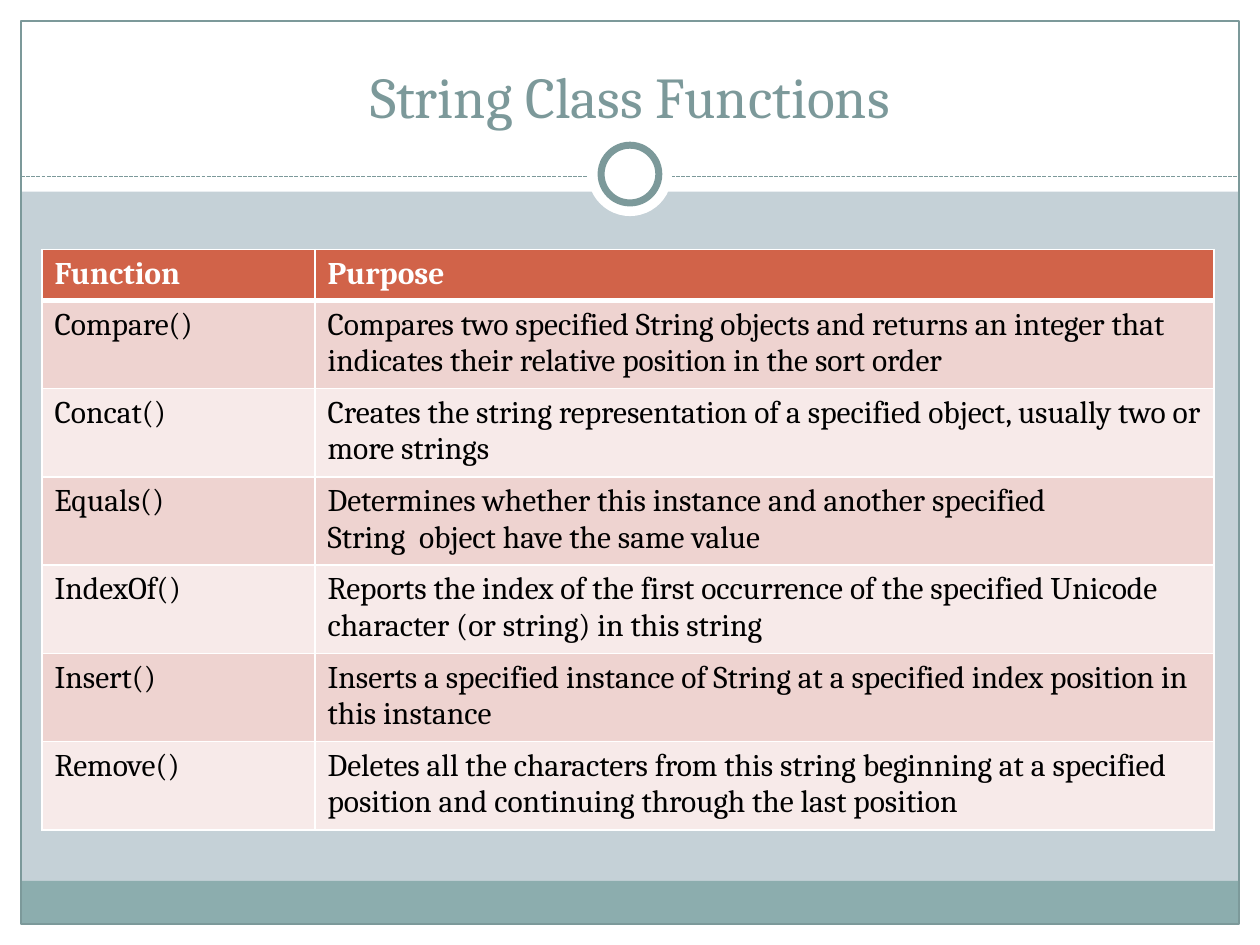
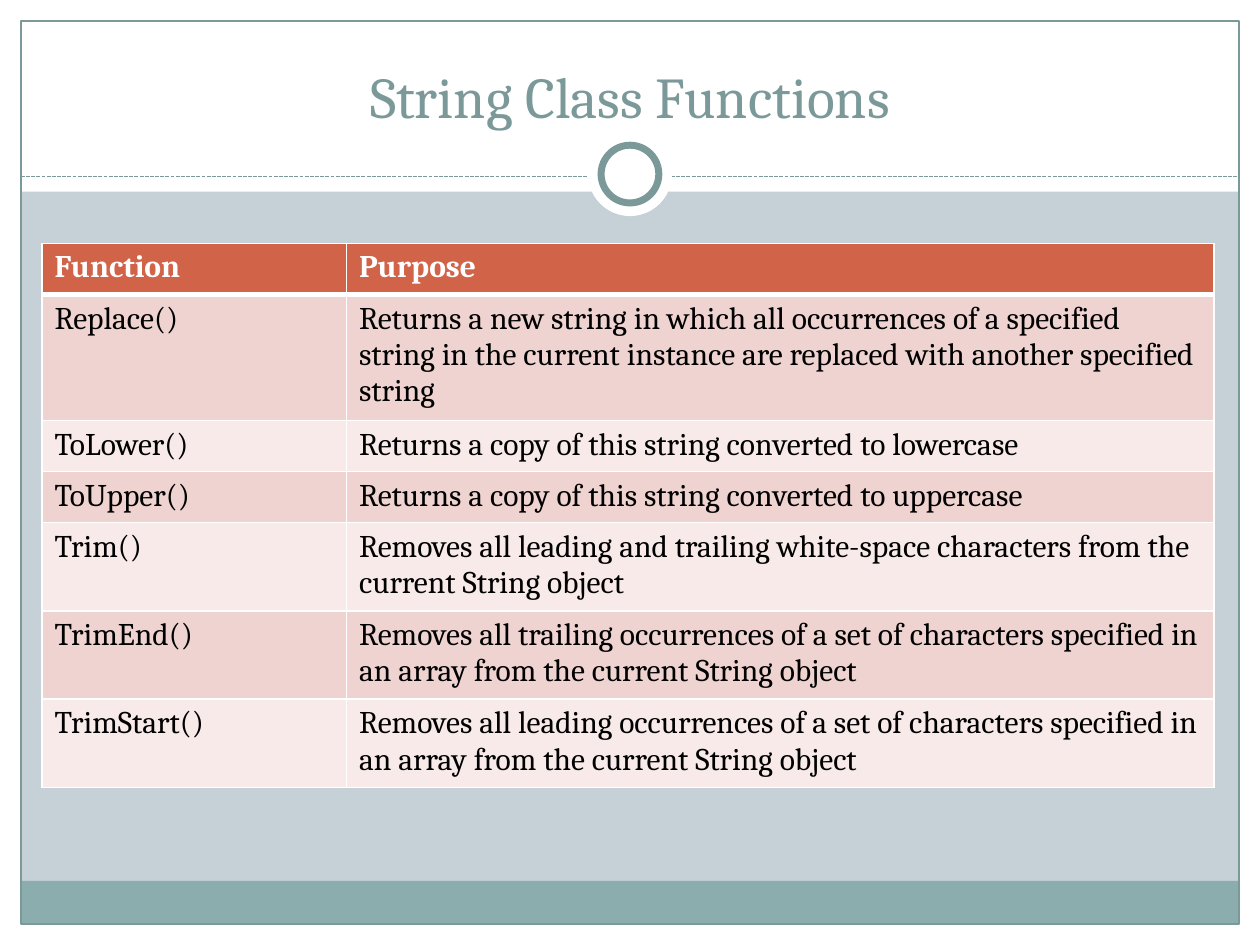
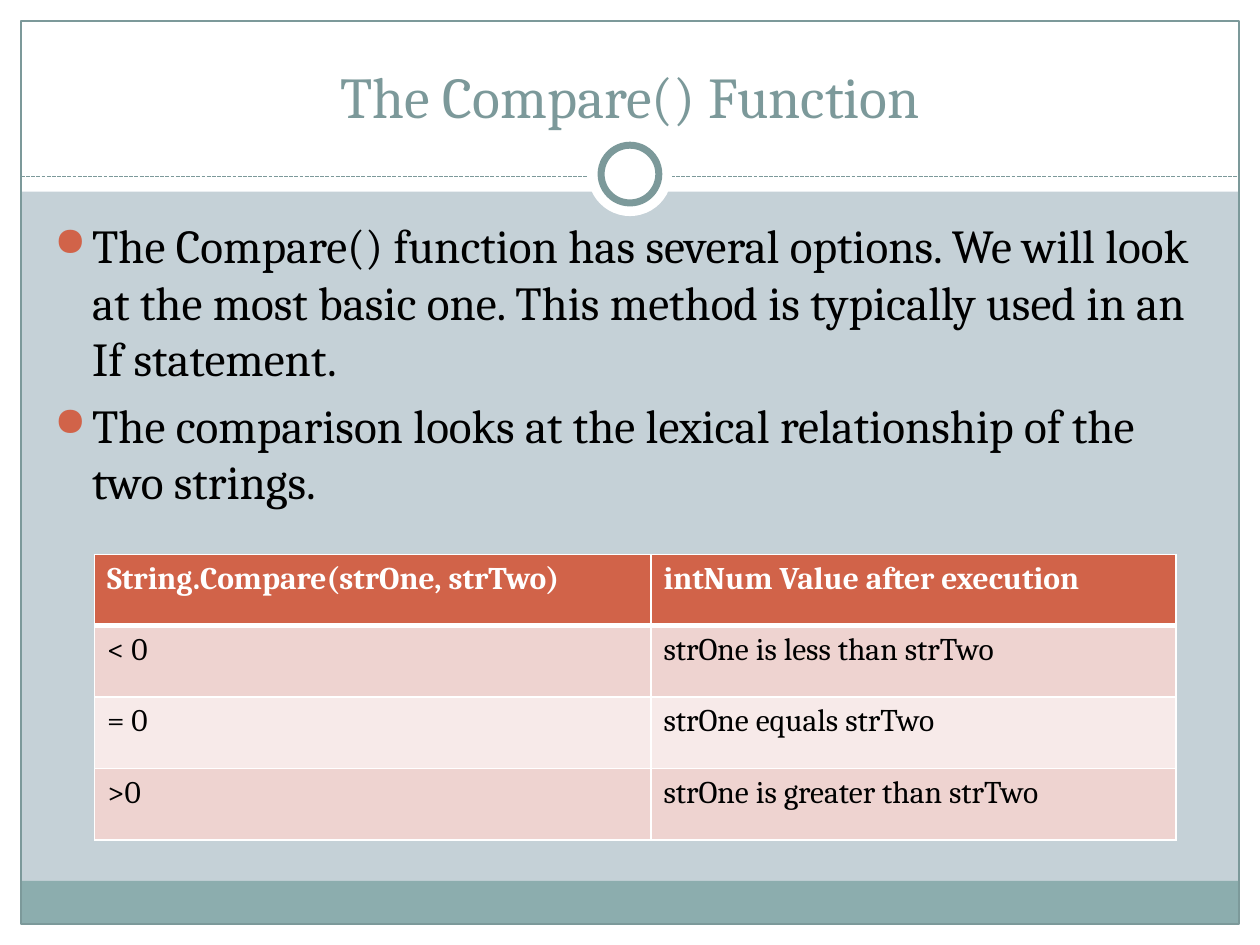
from dataclasses import dataclass

from lxml import etree
from pptx import Presentation
from pptx.dml.color import RGBColor
from pptx.enum.dml import MSO_LINE
from pptx.enum.shapes import MSO_CONNECTOR, MSO_SHAPE
from pptx.enum.text import MSO_ANCHOR, PP_ALIGN
from pptx.oxml.ns import qn
from pptx.util import Pt

RECTANGLE, OVAL = MSO_SHAPE.RECTANGLE, MSO_SHAPE.OVAL
STRAIGHT = MSO_CONNECTOR.STRAIGHT
DASH = MSO_LINE.SQUARE_DOT
TOP, BOTTOM = MSO_ANCHOR.TOP, MSO_ANCHOR.BOTTOM
LEFT, CENTER = PP_ALIGN.LEFT, PP_ALIGN.CENTER

# Page geometry, in points
WIDTH, HEIGHT = 720, 540
MARGIN = 12
INNER_WIDTH = WIDTH - 2 * MARGIN
HEADER_HEIGHT = 109.5
FOOTER_TOP = 503.3
RULE_Y = 100.8
RING_Y = 99.5
CONTENT_LEFT, CONTENT_WIDTH = 24, 669.6


@dataclass(frozen=True)
class Theme:
    font: str = "Cambria"
    background: str = "C5D1D7"
    white: str = "FFFFFF"
    text: str = "000000"
    title: str = "7C999A"
    footer: str = "8CADAE"
    accent: str = "D16349"
    bands: tuple = ("EED3D0", "F7EAE9")
    title_size: float = 33
    body_size: float = 27
    table_size: float = 18


def rgb(code):
    return RGBColor.from_string(code)


def assign(target, values):
    for name, value in values.items():
        setattr(target, name, value)


def add_xml(parent, tag, **attributes):
    return etree.SubElement(parent, qn(tag), attributes)


class SlideBuilder:
    def __init__(self, deck, theme):
        self.deck, self.theme = deck, theme
        self.page = None

    def new_page(self, title):
        self.page = self.deck.slides.add_slide(self.deck.slide_layouts[6])
        fill = self.page.background.fill
        fill.solid()
        fill.fore_color.rgb = rgb(self.theme.background)
        self.frame()
        self.title(title)

    def shape(self, kind, left, top, width, height, fill=None, line=None, weight=0.75):
        shape = self.page.shapes.add_shape(kind, *map(Pt, (left, top, width, height)))
        shape.shadow.inherit = False
        if fill:
            shape.fill.solid()
            shape.fill.fore_color.rgb = rgb(fill)
        else:
            shape.fill.background()
        if line:
            shape.line.color.rgb = rgb(line)
            shape.line.width = Pt(weight)
        else:
            shape.line.fill.background()

    def circle(self, radius, **style):
        self.shape(OVAL, WIDTH / 2 - radius, RING_Y - radius, 2 * radius, 2 * radius, **style)

    def rule(self, y):
        rule = self.page.shapes.add_connector(
            STRAIGHT, Pt(MARGIN), Pt(y), Pt(WIDTH - MARGIN), Pt(y))
        rule.line.color.rgb = rgb(self.theme.title)
        assign(rule.line, {"width": Pt(0.75), "dash_style": DASH})
        add_xml(rule._element.spPr, "a:effectLst")

    def frame(self):
        theme = self.theme
        # White edges around the coloured page
        for area in ((0, HEIGHT - MARGIN, WIDTH, MARGIN), (0, 0, WIDTH, HEADER_HEIGHT),
                     (0, 0, MARGIN, HEIGHT), (WIDTH - MARGIN, 0, MARGIN, HEIGHT)):
            self.shape(RECTANGLE, *area, fill=theme.white)
        # Footer band and outline
        self.shape(RECTANGLE, MARGIN, FOOTER_TOP, INNER_WIDTH,
                   HEIGHT - MARGIN - FOOTER_TOP, fill=theme.footer)
        self.shape(RECTANGLE, MARGIN, MARGIN, INNER_WIDTH, HEIGHT - 2 * MARGIN,
                   line=theme.title)
        # Dashed rule, interrupted by the ring
        self.rule(RULE_Y)
        self.circle(24, fill=theme.white)
        self.circle(16.5, fill=theme.white, line=theme.title, weight=4)

    def add_span(self, para, text, size, color, bold=False, align=LEFT):
        para.alignment = align
        span = para.add_run()
        span.text = text
        assign(span.font, {"name": self.theme.font, "size": Pt(size), "bold": bold})
        span.font.color.rgb = rgb(color)

    def text_frame(self, left, top, width, height, anchor):
        box = self.page.shapes.add_textbox(*map(Pt, (left, top, width, height)))
        assign(box.text_frame, {"word_wrap": True, "vertical_anchor": anchor})
        return box.text_frame

    def title(self, text):
        frame = self.text_frame(CONTENT_LEFT, 18, WIDTH - 2 * CONTENT_LEFT, 60, BOTTOM)
        self.add_span(frame.paragraphs[0], text, self.theme.title_size, self.theme.title,
                      align=CENTER)

    def bullets(self, items, top, height):
        theme = self.theme
        frame = self.text_frame(CONTENT_LEFT, top, CONTENT_WIDTH, height, TOP)
        for index, item in enumerate(items):
            para = frame.add_paragraph() if index else frame.paragraphs[0]
            para.space_before = Pt(0.2 * theme.body_size)
            self.add_span(para, item, theme.body_size, theme.text)
            layout = para._p.get_or_add_pPr()
            indent = Pt(21.6)
            layout.set("marL", str(indent))
            layout.set("indent", str(-indent))
            add_xml(add_xml(layout, "a:buClr"), "a:srgbClr", val=theme.accent)
            add_xml(layout, "a:buSzPct", val="85000")
            add_xml(layout, "a:buChar", char="●")

    def borders(self, cell, top, bottom):
        properties = cell._tc.get_or_add_tcPr()
        weights = {"a:lnL": 1, "a:lnR": 1, "a:lnT": top, "a:lnB": bottom}
        for index, (tag, weight) in enumerate(weights.items()):
            line = add_xml(properties, tag, w=str(Pt(weight)))
            add_xml(add_xml(line, "a:solidFill"), "a:srgbClr", val=self.theme.white)
            properties.insert(index, line)

    def table(self, rows, left, top, widths, row_height, height):
        theme = self.theme
        holder = self.page.shapes.add_table(
            len(rows), len(widths), *map(Pt, (left, top, sum(widths), height)))
        table = holder.table
        table.horz_banding = False
        for column, width in zip(table.columns, widths):
            column.width = Pt(width)
        for number, texts in enumerate(rows):
            table.rows[number].height = Pt(row_height)
            header = number == 0
            fill = theme.accent if header else theme.bands[(number - 1) % 2]
            for cell, text in zip(table.rows[number].cells, texts):
                cell.fill.solid()
                cell.fill.fore_color.rgb = rgb(fill)
                self.borders(cell, top=3 if number == 1 else 1, bottom=3 if header else 1)
                self.add_span(cell.text_frame.paragraphs[0], text, theme.table_size,
                              theme.white if header else theme.text, bold=header)
        # Rows grow with their text, so the holder is taller than their minimum
        holder.height = Pt(height)


HEADINGS = ("Function", "Purpose")

BASIC_FUNCTIONS = [
    HEADINGS,
    ("Compare()", "Compares two specified\u00a0String\u00a0objects and returns an integer "
                  "that indicates their relative position in the sort order"),
    ("Concat()", "Creates the string representation of a specified object, usually two "
                 "or more strings"),
    ("Equals()", "Determines whether this instance and another specified "
                 "String\u00a0\u00a0object have the same value"),
    ("IndexOf()", "Reports the index of the first occurrence of the specified Unicode "
                  "character (or string) in this string"),
    ("Insert()", "Inserts a specified instance of\u00a0String\u00a0at a specified index "
                 "position in this instance"),
    ("Remove()", "Deletes all the characters from this string beginning at a specified "
                 "position and continuing through the last position"),
]

TRIM_END_TEXT = ("Removes all {} occurrences of a set of characters specified in an array "
                 "from the current\u00a0String\u00a0object")
CASE_TEXT = "Returns a copy of this string converted to {}"

EDITING_FUNCTIONS = [
    HEADINGS,
    ("Replace()", "Returns a new string in which all occurrences of a specified string in "
                  "the current instance are replaced with another specified string"),
    ("ToLower()", CASE_TEXT.format("lowercase")),
    ("ToUpper()", CASE_TEXT.format("uppercase")),
    ("Trim()", "Removes all leading and trailing white-space characters from the "
               "current\u00a0String\u00a0object"),
    ("TrimEnd()", TRIM_END_TEXT.format("trailing")),
    ("TrimStart()", TRIM_END_TEXT.format("leading")),
]

COMPARE_NOTES = [
    "The Compare() function has several options. We will look at the most basic one. "
    "This method is typically used in an If statement.",
    "The comparison looks at the lexical relationship of the two strings.",
]

COMPARE_RESULTS = [
    ("String.Compare(strOne, strTwo)", "intNum Value after execution"),
    ("< 0", "strOne is less than strTwo"),
    ("= 0", "strOne equals strTwo"),
    (">0", "strOne is greater than strTwo"),
]

deck = Presentation()
assign(deck, {"slide_width": Pt(WIDTH), "slide_height": Pt(HEIGHT)})
builder = SlideBuilder(deck, Theme())

# Slides 1 and 2: function overviews
for rows, top, first_width, height in ((BASIC_FUNCTIONS, 142.5, 156, 332),
                                       (EDITING_FUNCTIONS, 139, 174, 311)):
    builder.new_page("String Class Functions")
    builder.table(rows, CONTENT_LEFT, top, (first_width, CONTENT_WIDTH - first_width),
                  row_height=29.2, height=height)

# Slide 3: comparing two strings
builder.new_page("The Compare() Function")
builder.bullets(COMPARE_NOTES, top=120, height=360)
builder.table(COMPARE_RESULTS, 54, 316.8, (318, 300), row_height=40.8, height=163.2)

deck.save("out.pptx")
